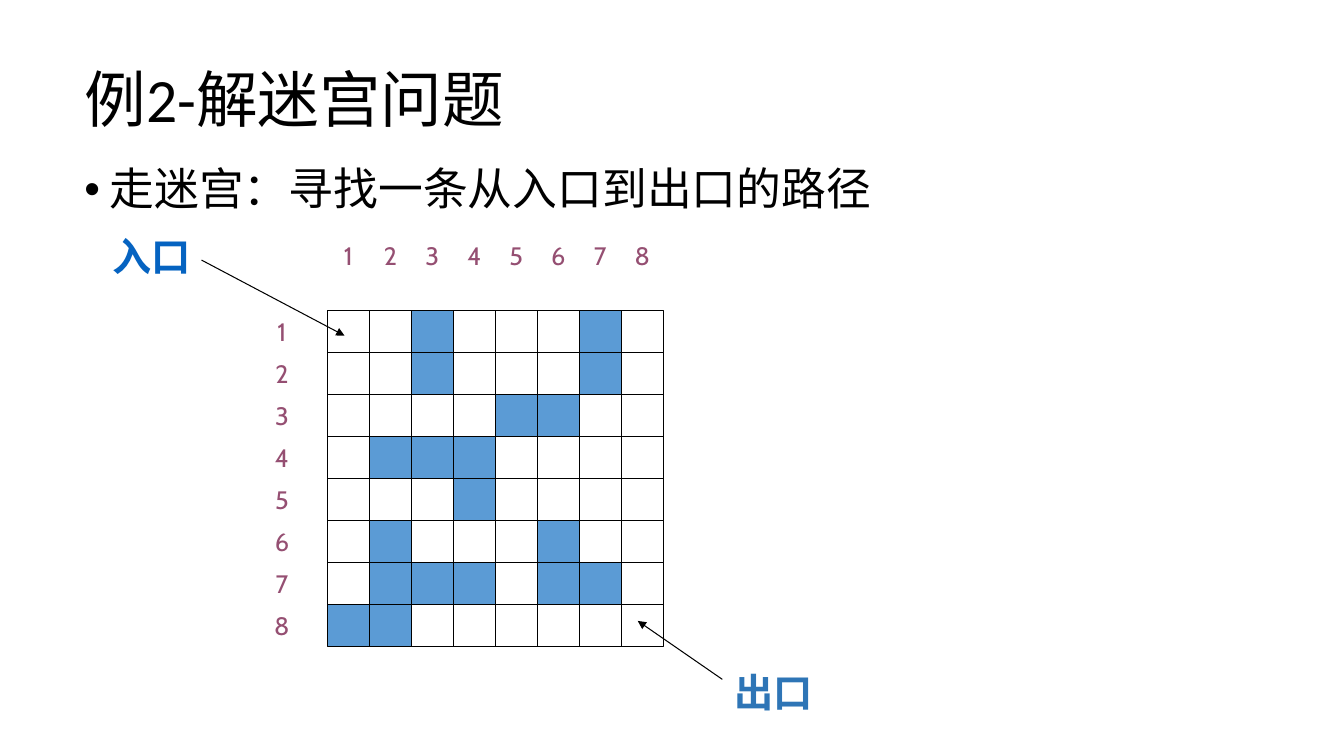
from lxml import etree
from pptx import Presentation
from pptx.dml.color import RGBColor
from pptx.enum.shapes import MSO_CONNECTOR, MSO_SHAPE
from pptx.enum.text import MSO_ANCHOR, PP_ALIGN
from pptx.oxml.ns import qn
from pptx.util import Inches, Pt

RECTANGLE = MSO_SHAPE.RECTANGLE
STRAIGHT = MSO_CONNECTOR.STRAIGHT
TOP, MIDDLE = MSO_ANCHOR.TOP, MSO_ANCHOR.MIDDLE
LEFT, CENTER = PP_ALIGN.LEFT, PP_ALIGN.CENTER

TITLE = "例2-解迷宫问题"
TASK = "走迷宫：寻找一条从入口到出口的路径"
MAZE = [
    "..#...#.",
    "..#...#.",
    "....##..",
    ".###....",
    "...#....",
    ".#...#..",
    ".###.##.",
    "##......",
]
DOORS = [
    ("入口", "0563C1", (0.92, 2.33), (2, 2.58), (3.42, 3.33)),
    ("出口", "2E75B6", (7.09, 6.66), (7.17, 6.74), (6.33, 6.16)),
]
BLACK, WALL, NUMBER = "000000", "5B9BD5", "954F72"
CELL = 5 / 12
MAZE_LEFT, MAZE_TOP = 3.25, 3.08
COLUMN_NUMBERS_TOP, ROW_NUMBERS_LEFT = 2.33, 2.59

deck = Presentation()
deck.slide_width, deck.slide_height = Inches(13.34), Inches(7.5)
page = deck.slides.add_slide(deck.slide_layouts[6])


def color(value):
    return RGBColor.from_string(value)


def add_text(text, left, top, width, height, size, fill=BLACK, font="Calibri",
             bold=False, align=LEFT, anchor=MIDDLE, wrap=True, spacing=None):
    box = page.shapes.add_textbox(Inches(left), Inches(top), Inches(width), Inches(height))
    frame = box.text_frame
    frame.word_wrap = wrap
    frame.vertical_anchor = anchor
    para = frame.paragraphs[0]
    para.alignment = align
    para.line_spacing = spacing
    span = para.add_run()
    span.text = text
    span.font.name = font
    span.font.size = Pt(size)
    span.font.bold = bold
    span.font.color.rgb = color(fill)
    return para


def add_bullet(para, indent):
    properties = para._p.get_or_add_pPr()
    properties.set("marL", str(Inches(indent)))
    properties.set("indent", str(-Inches(indent)))
    etree.SubElement(properties, qn("a:buFont")).set("typeface", "Arial")
    etree.SubElement(properties, qn("a:buChar")).set("char", "•")


def add_label(text, left, top, width, size, fill, bold=False):
    add_text(text, left, top, width, CELL, size, fill=fill, font="Cabin",
             bold=bold, align=CENTER, wrap=False)


def add_arrow(start, end):
    arrow = page.shapes.add_connector(STRAIGHT, *(Inches(value) for value in start + end))
    arrow.line.color.rgb = color(BLACK)
    arrow.line.width = Pt(0.75)
    etree.SubElement(arrow.line._get_or_add_ln(), qn("a:tailEnd")).set("type", "triangle")
    etree.SubElement(arrow._element.spPr, qn("a:effectLst"))


def add_cell(left, top, is_wall):
    cell = page.shapes.add_shape(RECTANGLE, Inches(left), Inches(top), Inches(CELL), Inches(CELL))
    cell.shadow.inherit = False
    cell.line.color.rgb = color(BLACK)
    cell.line.width = Pt(0.75)
    if is_wall:
        cell.fill.solid()
        cell.fill.fore_color.rgb = color(WALL)
    else:
        cell.fill.background()


add_text(TITLE, 0.74, 0.66, 9.4, 0.71, 44, spacing=0.9)
task = add_text(TASK, 0.74, 1.61, 9.4, 5.06, 32, anchor=TOP, spacing=0.9)
task.space_before = Pt(10)
add_bullet(task, 0.25)

for name, fill, (left, top), start, end in DOORS:
    add_label(name, left, top, 1.17, 28, fill, bold=True)
    add_arrow(start, end)

for row, marks in enumerate(MAZE):
    for column, mark in enumerate(marks):
        add_cell(MAZE_LEFT + column * CELL, MAZE_TOP + row * CELL, mark == "#")

for index in range(len(MAZE)):
    number, offset = str(index + 1), index * CELL
    add_label(number, MAZE_LEFT + offset, COLUMN_NUMBERS_TOP, CELL, 18, NUMBER)
    add_label(number, ROW_NUMBERS_LEFT, MAZE_TOP + offset, CELL, 18, NUMBER)

deck.save("out.pptx")
